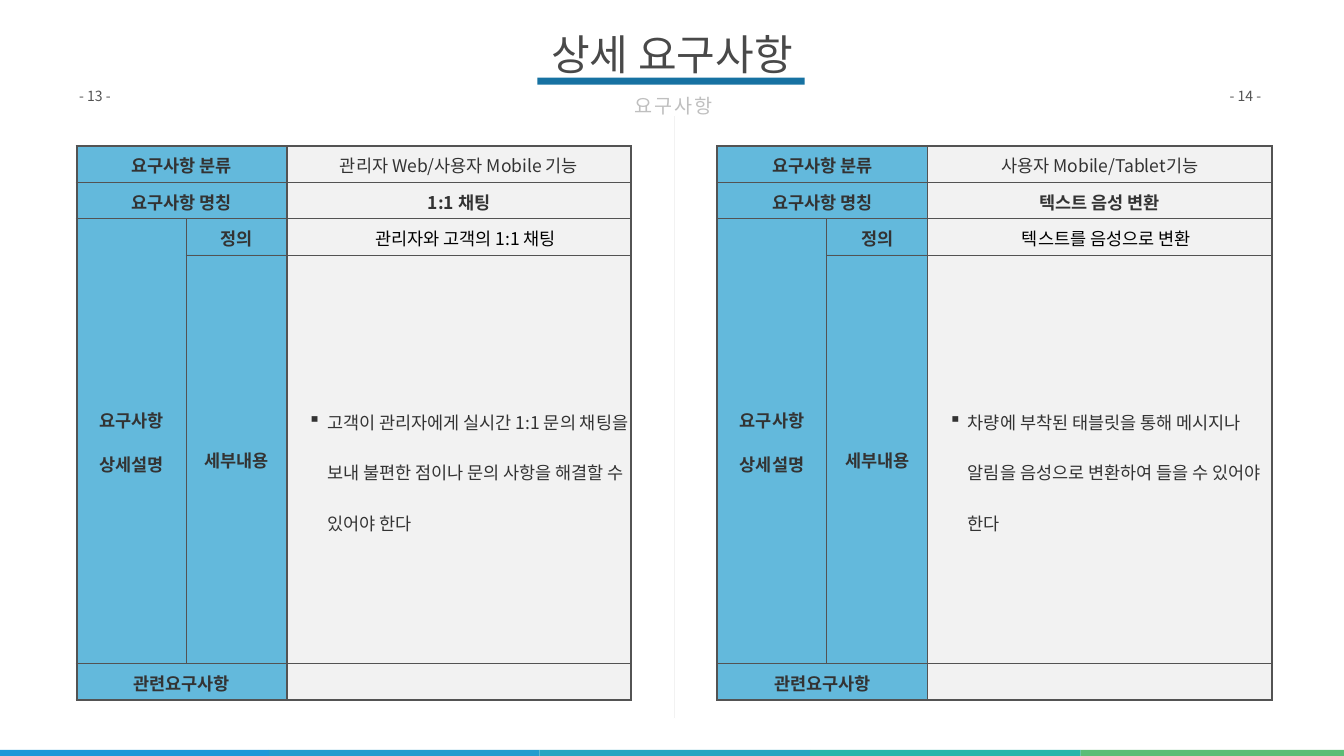
import dataclasses

import pptx
import pptx.dml.color
import pptx.enum.shapes
import pptx.enum.text
import pptx.oxml.ns
import pptx.util
from lxml import etree

Pt = pptx.util.Pt
RGB = pptx.dml.color.RGBColor.from_string
CENTER = pptx.enum.text.PP_ALIGN.CENTER
LEFT = pptx.enum.text.PP_ALIGN.LEFT
MIDDLE = pptx.enum.text.MSO_ANCHOR.MIDDLE
TOP = pptx.enum.text.MSO_ANCHOR.TOP
qn = pptx.oxml.ns.qn


@dataclasses.dataclass(frozen=True)
class Theme:
    font: str = "Noto Sans CJK KR"
    label: str = "229CCE"
    label_alpha: int = 70
    panel: str = "F2F2F2"
    border: str = "535353"
    text: str = "333333"
    strong: str = "000000"
    title: str = "494949"
    underline: str = "1772A2"
    subtitle: str = "BFBFBF"
    white: str = "FFFFFF"
    footer: tuple = ("1F98D8", "229CCE", "27A5C1", "24B6AB", "5BBD76")
    title_size: int = 60
    subtitle_size: int = 28
    table_size: int = 25
    page_size: int = 20
    outer_line: float = 3
    content_line: float = 2.25
    inner_line: float = 1


THEME = Theme()


@dataclasses.dataclass(frozen=True)
class Box:
    left: float
    top: float
    width: float
    height: float

    def lengths(self):
        return [Pt(value) for value in dataclasses.astuple(self)]


@dataclasses.dataclass(frozen=True)
class Requirement:
    page: str
    category: str
    name: str
    definition: str
    detail: str


def add_run(paragraph, text, size, color, bold=False):
    run = paragraph.add_run()
    run.text = text
    run.font.size = Pt(size)
    run.font.bold = bold
    run.font.color.rgb = RGB(color)
    run.font.name = THEME.font
    etree.SubElement(run.font._element, qn("a:ea"), typeface=THEME.font)
    return run


def add_bar(slide, box, color):
    bar = slide.shapes.add_shape(pptx.enum.shapes.MSO_SHAPE.RECTANGLE, *box.lengths())
    bar.shadow.inherit = False
    bar.fill.solid()
    bar.fill.fore_color.rgb = RGB(color)
    bar.line.fill.background()
    return bar


def add_label(slide, box, text, size, color, insets, align=LEFT, anchor=TOP, wrap=True):
    frame = slide.shapes.add_textbox(*box.lengths()).text_frame
    frame.word_wrap = wrap
    frame.auto_size = pptx.enum.text.MSO_AUTO_SIZE.SHAPE_TO_FIT_TEXT
    frame.vertical_anchor = anchor
    frame.margin_left = frame.margin_right = Pt(insets[0])
    frame.margin_top = frame.margin_bottom = Pt(insets[1])
    paragraph = frame.paragraphs[0]
    paragraph.alignment = align
    return paragraph, add_run(paragraph, text, size, color)


def set_borders(cell, row, column, row_count, column_count):
    def vertical(position):
        if position in (0, column_count):
            return THEME.outer_line
        return THEME.content_line if position == column_count - 1 else THEME.inner_line

    def horizontal(position):
        return THEME.outer_line if position in (0, row_count) else THEME.inner_line

    widths = {
        "a:lnL": vertical(column),
        "a:lnR": vertical(column + cell.span_width),
        "a:lnT": horizontal(row),
        "a:lnB": horizontal(row + cell.span_height),
    }
    properties = cell._tc.get_or_add_tcPr()
    for tag, width in widths.items():
        line = etree.SubElement(properties, qn(tag), w=str(Pt(width)))
        fill = etree.SubElement(line, qn("a:solidFill"))
        etree.SubElement(fill, qn("a:srgbClr"), val=THEME.border)


def fill_cell(cell, is_label):
    cell.fill.solid()
    cell.fill.fore_color.rgb = RGB(THEME.label if is_label else THEME.panel)
    if is_label:
        color = cell._tc.tcPr.find(qn("a:solidFill")).find(qn("a:srgbClr"))
        etree.SubElement(color, qn("a:alpha"), val=str(THEME.label_alpha * 1000))
    cell.vertical_anchor = MIDDLE
    cell.margin_left = cell.margin_right = cell.margin_top = cell.margin_bottom = Pt(0.72)


def write_cell(cell, lines, bold=True, color=THEME.text, indent=(0, 0), bullet=None):
    frame = cell.text_frame
    for index, text in enumerate(lines):
        paragraph = frame.add_paragraph() if index else frame.paragraphs[0]
        paragraph.alignment = LEFT if bullet else CENTER
        paragraph.line_spacing = 2.0 if bullet else 1.07
        paragraph.space_before = Pt(12 if index else 0)
        paragraph.space_after = Pt(12)
        properties = paragraph._p.get_or_add_pPr()
        properties.set("marL", str(Pt(indent[0])))
        properties.set("indent", str(Pt(indent[1])))
        if bullet:
            etree.SubElement(properties, qn("a:buChar"), char=bullet)
        add_run(paragraph, text, THEME.table_size, color, bold)


def add_requirement(slide, box, requirement):
    widths = [156.24, 144, box.width - 300.24]
    line_height = 51.84
    heights = [line_height] * 3 + [box.height - 4 * line_height, line_height]
    table = slide.shapes.add_table(len(heights), len(widths), *box.lengths()).table
    table.first_row = table.horz_banding = False
    for column, width in zip(table.columns, widths):
        column.width = Pt(width)
    for row, height in zip(table.rows, heights):
        row.height = Pt(height)
    for row in (0, 1, 4):
        table.cell(row, 0).merge(table.cell(row, 1))
    table.cell(2, 0).merge(table.cell(3, 0))

    for row in range(len(heights)):
        for column in range(len(widths)):
            cell = table.cell(row, column)
            if not cell.is_spanned:
                set_borders(cell, row, column, len(heights), len(widths))
                fill_cell(cell, column < 2)

    labels = {
        (0, 0): ["요구사항 분류"],
        (1, 0): ["요구사항 명칭"],
        (2, 0): ["요구사항", "상세설명"],
        (2, 1): ["정의"],
        (3, 1): ["세부내용"],
        (4, 0): ["관련요구사항"],
    }
    for position, lines in labels.items():
        write_cell(table.cell(*position), lines)
    write_cell(table.cell(0, 2), [requirement.category], bold=False)
    write_cell(table.cell(1, 2), [requirement.name], indent=(13.68, -13.68))
    write_cell(table.cell(2, 2), [requirement.definition], False, THEME.strong, (33.84, -15.12))
    write_cell(table.cell(3, 2), [requirement.detail], False, indent=(56.88, -27.36), bullet="▪")


def add_header(slide, box):
    add_label(slide, Box(box.left, box.top, box.width, 89.28), "상세 요구사항",
              THEME.title_size, THEME.title, (8.64, 8.64), CENTER, MIDDLE)
    add_bar(slide, Box(box.left + 9.36, box.top + 79.2, 381.6, 10.08), THEME.underline)
    paragraph, run = add_label(slide, Box(box.left + 129.6, box.top + 87.12, 147.6, 56.16),
                               "요구사항", THEME.subtitle_size, THEME.subtitle,
                               (17.28, 8.64), CENTER, wrap=False)
    paragraph.line_spacing = 1.2
    run.font._element.set("spc", "300")


def add_footer(slide, box):
    step = box.width / len(THEME.footer)
    for index, color in enumerate(THEME.footer):
        add_bar(slide, Box(box.left + index * step, box.top, step, box.height), color)


def add_divider(slide, box):
    divider = add_bar(slide, box, THEME.panel)
    divider.line.color.rgb = RGB(THEME.white)
    divider.line.width = Pt(1)


def main():
    deck = pptx.Presentation()
    deck.slide_width, deck.slide_height = Pt(1919.52), Pt(1080)
    slide = deck.slides.add_slide(deck.slide_layouts[6])
    requirements = [
        Requirement("- 13 -", "관리자 Web/사용자 Mobile 기능", "1:1 채팅", "관리자와 고객의 1:1 채팅",
                    "고객이 관리자에게 실시간 1:1 문의 채팅을 보내 불편한 점이나 문의 사항을 해결할 수 있어야 한다"),
        Requirement("- 14 -", "사용자 Mobile/Tablet기능", "텍스트 음성 변환", "텍스트를 음성으로 변환",
                    "차량에 부착된 태블릿을 통해 메시지나 알림을 음성으로 변환하여 들을 수 있어야 한다"),
    ]
    add_footer(slide, Box(-2.16, 1071.36, 1931.76, 14.4))
    add_divider(slide, Box(961.56, 165.24, 3.6, 861.12))
    for requirement, left, page_left in zip(requirements, (109.44, 1024.56), (109.44, 1752.48)):
        add_requirement(slide, Box(left, 208.8, 792, 791.28), requirement)
        add_label(slide, Box(page_left, 120.96, 67, 31.68), requirement.page,
                  THEME.page_size, THEME.border, (3.6, 3.6))
    add_header(slide, Box(758.16, 31.68, 403.2, 143.28))
    deck.save("out.pptx")


if __name__ == "__main__":
    main()
